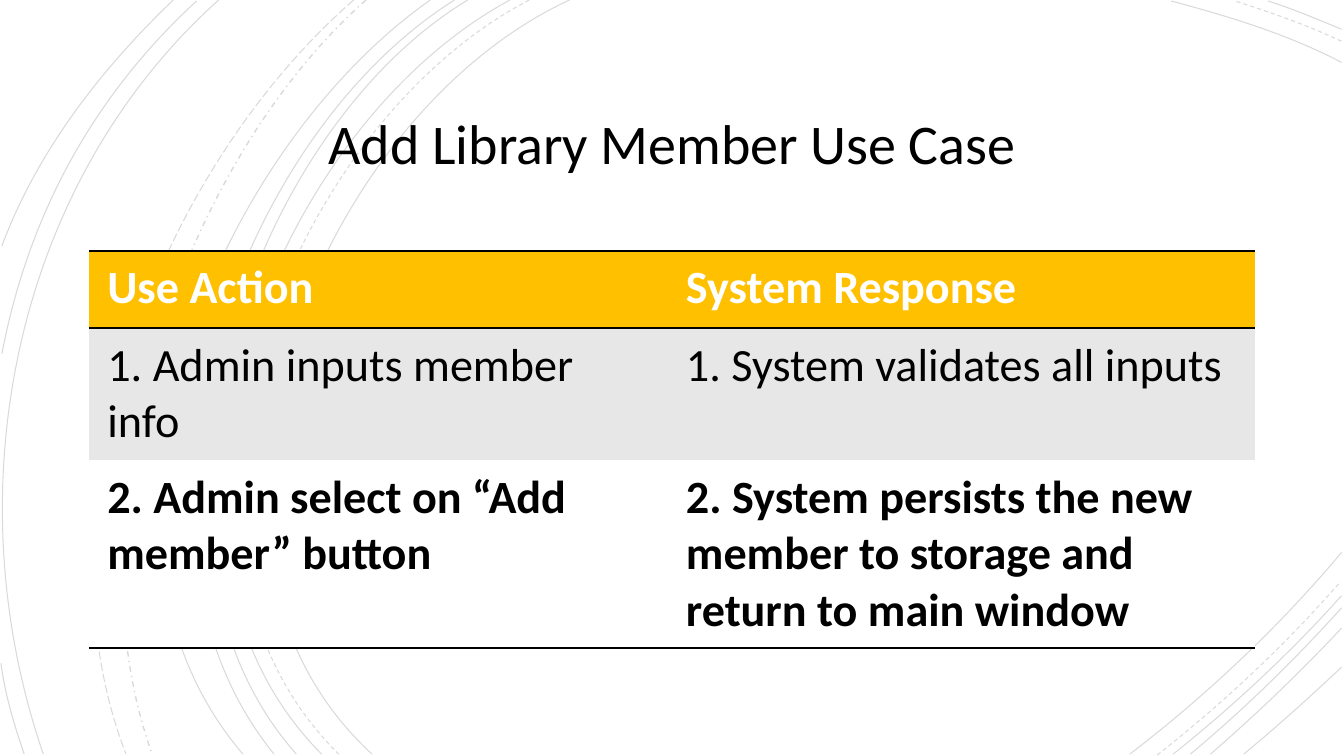
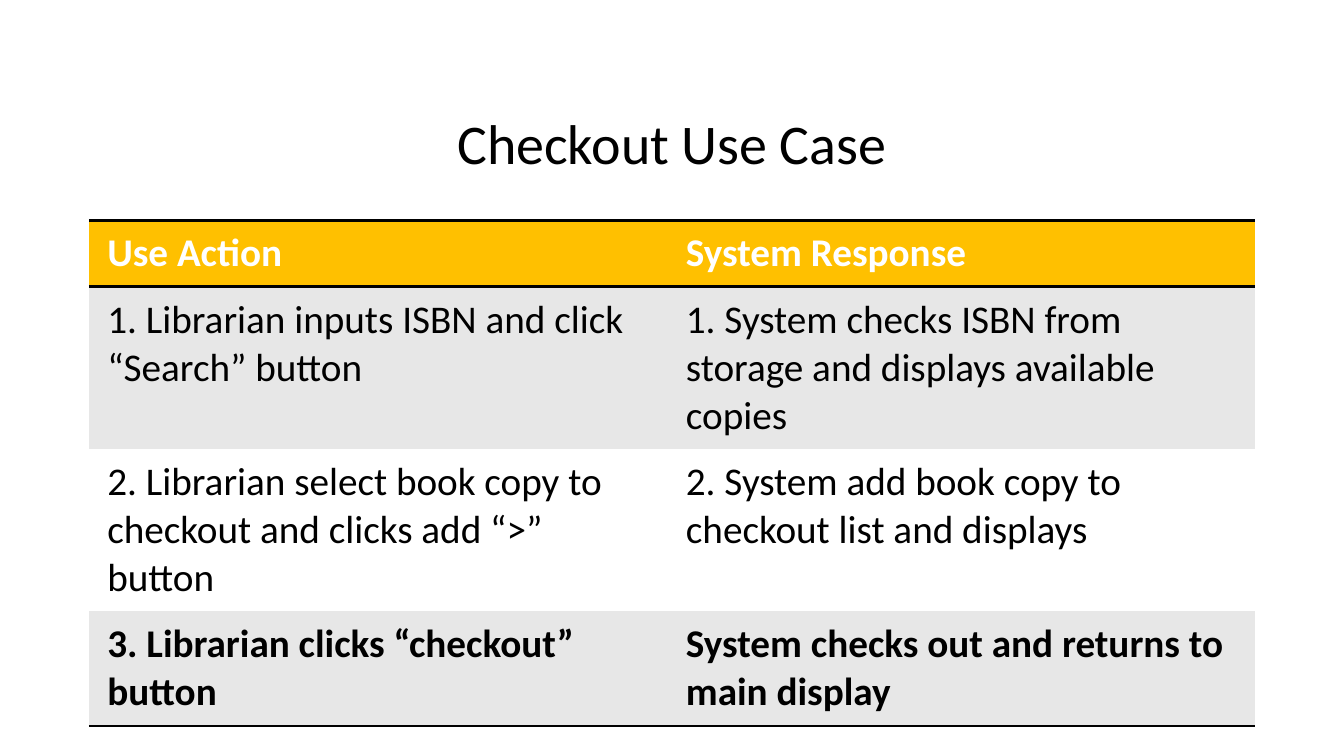
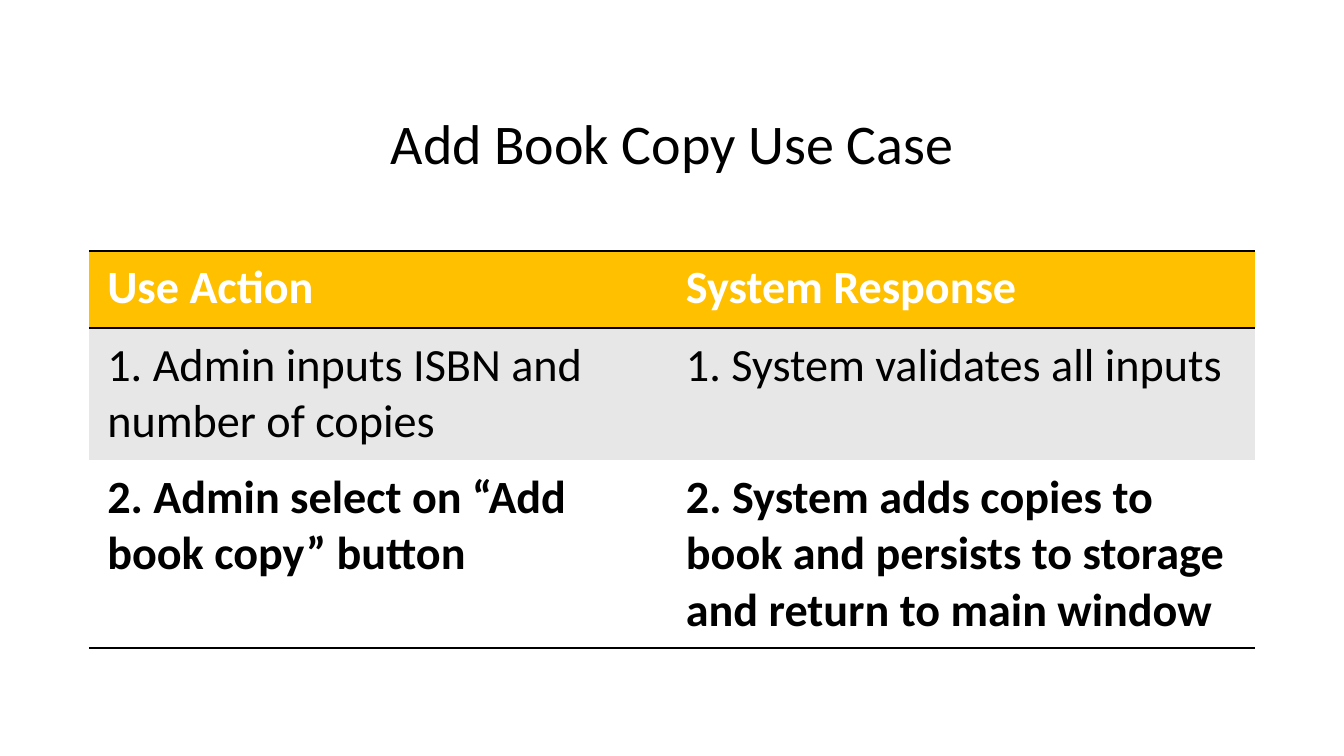
"""Builds three library use case slides, each with a title and a two-column table."""
from lxml import etree
from pptx import Presentation
from pptx.dml.color import RGBColor
from pptx.enum.dml import MSO_LINE
from pptx.enum.text import MSO_ANCHOR, PP_ALIGN
from pptx.oxml.ns import qn
from pptx.util import Pt

CENTER, MIDDLE = PP_ALIGN.CENTER, MSO_ANCHOR.MIDDLE
SOLID, DASH = MSO_LINE.SOLID, MSO_LINE.DASH
LONG_DASH, DASH_DOT = MSO_LINE.LONG_DASH, MSO_LINE.DASH_DOT
FONT = "Calibri"
COLORS = {"ink": "000000", "paper": "FFFFFF", "header": "FFC000", "band": "E7E7E7"}
COLUMN_WIDTHS = (413.3, 419.7)

ARCS = [
    (SOLID, 0.75, (406.8, 0), (226.8, 82.8), (103, 388.8), (265.7, 538.6)),
    (SOLID, 0.75, (958.3, 44.6), (920.2, 24.5), (877, 11.5), (836.6, 0.7)),
    (SOLID, 0.75, (807.1, 538.6), (861.8, 496.8), (913.7, 447.8), (958.3, 394.6)),
    (DASH, 0.75, (378, 0), (205.2, 90), (88.6, 386.6), (241.9, 538.6)),
    (DASH, 0.75, (958.3, 29.5), (933.8, 18), (907.2, 8.6), (882, 0.7)),
    (DASH, 0.75, (826.6, 539.3), (873.4, 502.6), (918, 460.8), (957.6, 415.4)),
    (SOLID, 0.75, (364.3, 0), (194.4, 91.4), (79.2, 386.6), (229.7, 538.6)),
    (SOLID, 0.75, (958.3, 20.9), (941, 13.7), (923.8, 6.5), (905.8, 0.7)),
    (SOLID, 0.75, (838.1, 538.6), (880.6, 504.7), (921.6, 466.6), (958.3, 425.5)),
    (SOLID, 0.75, (334.1, 0), (175.7, 95.8), (79.2, 389.5), (211.7, 538.6)),
    (SOLID, 0.75, (850.3, 538.6), (888.5, 506.9), (924.5, 471.6), (958.3, 434.2)),
    (SOLID, 0.75, (324.7, 0), (166.3, 99.4), (69.8, 383.8), (195.8, 538.6)),
    (SOLID, 0.75, (864.7, 538.6), (897.1, 510.5), (928.8, 480.2), (958.3, 448.6)),
    (SOLID, 0.75, (307.4, 0), (156.2, 105.8), (38.2, 380.9), (173.5, 538.6)),
    (SOLID, 0.75, (888.5, 538.6), (912.2, 519.1), (935.3, 498.2), (958.3, 476.6)),
    (DASH_DOT, 1, (261.4, 0), (126.7, 119.5), (46.8, 366.5), (108.7, 538.6)),
    (LONG_DASH, 0.75, (252.7, 0), (113, 121.7), (20.9, 359.3), (90, 538.6)),
    (SOLID, 0.75, (156.2, 0), (7.9, 133.2), (-33.1, 352.8), (31, 538.6)),
    (SOLID, 0.75, (140.4, 0.7), (66.2, 69.1), (20.2, 154.1), (1.4, 252.7)),
    (SOLID, 0.75, (0.7, 473.8), (3.6, 496.1), (10.1, 517.7), (17.3, 538.6)),
    (SOLID, 0.75, (123.8, 0), (72, 49.7), (26.6, 108), (1.4, 175.7)),
]

SLIDES = [
    {"title": "Add Library Member Use Case", "arcs": ARCS, "top": 179.1, "size": 33,
     "heights": (55.2, 94.3, 133.9),
     "steps": [
         ("1. Admin inputs member info", "1. System validates all inputs"),
         ("2. Admin select on “Add member” button",
          "2. System persists the new member to storage and return to main window"),
     ]},
    {"title": "Checkout Use Case", "arcs": [], "top": 157.4, "size": 28,
     "heights": (40.3, 101.5, 101.5, 82.1),
     "steps": [
         ("1. Librarian inputs ISBN and click “Search” button",
          "1. System checks ISBN from storage and displays available copies"),
         ("2. Librarian select book copy to checkout and clicks add “>” button",
          "2. System add book copy to checkout list and displays"),
         ("3. Librarian clicks “checkout” button",
          "System checks out and returns to main display"),
     ]},
    {"title": "Add Book Copy Use Case", "arcs": [], "top": 179.1, "size": 33,
     "heights": (55.2, 94.3, 133.9),
     "steps": [
         ("1. Admin inputs ISBN and number of copies", "1. System validates all inputs"),
         ("2. Admin select on “Add book copy” button",
          "2. System adds copies to book and persists to storage and return to main window"),
     ]},
]


def style_font(font, size, color, bold=False):
    font.name, font.size, font.bold = FONT, Pt(size), bold
    font.color.rgb = RGBColor.from_string(COLORS[color])


def set_border(cell, side, visible):
    properties = cell._tc.get_or_add_tcPr()
    border = etree.SubElement(properties, qn(f"a:ln{side}"), w=str(Pt(2)))
    if visible:
        fill = etree.SubElement(border, qn("a:solidFill"))
        etree.SubElement(fill, qn("a:srgbClr"), val=COLORS["ink"])
    else:
        etree.SubElement(border, qn("a:noFill"))


deck = Presentation()
deck.slide_width, deck.slide_height = Pt(960), Pt(540)

for content in SLIDES:
    page = deck.slides.add_slide(deck.slide_layouts[5])
    title = page.shapes.title
    title.left, title.top, title.width, title.height = Pt(138.3), Pt(62.9), Pt(683.3), Pt(83.1)
    title.text_frame.text = content["title"]
    title.text_frame.vertical_anchor = MIDDLE
    para = title.text_frame.paragraphs[0]
    para.alignment, para.line_spacing = CENTER, 0.9
    style_font(para.font, 40, "ink")

    if content["arcs"]:
        arc_group = page.shapes.add_group_shape()
        title.element.addprevious(arc_group.element)
        for dash, width, *controls in content["arcs"]:
            start, *bends = [(Pt(x), Pt(y)) for x, y in controls]
            builder = arc_group.shapes.build_freeform(*start)
            builder.add_line_segments(bends, close=False)
            arc = builder.convert_to_shape()
            segments = list(arc.element.iter(qn("a:lnTo")))
            curve = etree.SubElement(segments[0].getparent(), qn("a:cubicBezTo"))
            for segment in segments:
                curve.append(segment[0])
                segment.getparent().remove(segment)
            arc.shadow.inherit = False
            arc.fill.background()
            arc.line.width, arc.line.dash_style = Pt(width), dash
            arc.line.color.rgb = RGBColor.from_string(COLORS["ink"])
            ink = arc.element.find(".//" + qn("a:ln")).find(".//" + qn("a:srgbClr"))
            etree.SubElement(ink, qn("a:alpha"), val="15000")

    rows = [("Use Action", "System Response")] + content["steps"]
    last = len(rows) - 1
    table = page.shapes.add_table(len(rows), 2, Pt(63.5), Pt(content["top"]),
                                  Pt(sum(COLUMN_WIDTHS)), Pt(sum(content["heights"]))).table
    for column, width in zip(table.columns, COLUMN_WIDTHS):
        column.width = Pt(width)
    for index, (texts, height) in enumerate(zip(rows, content["heights"])):
        table.rows[index].height = Pt(height)
        fill_color = "header" if index == 0 else "band" if index % 2 else "paper"
        for cell, text in zip(table.rows[index].cells, texts):
            cell.text = text
            cell.margin_left = cell.margin_right = Pt(13.2)
            cell.margin_top = cell.margin_bottom = Pt(6.6)
            for side, visible in (("L", False), ("R", False),
                                  ("T", index <= 1), ("B", index in (0, last))):
                set_border(cell, side, visible)
            cell.fill.solid()
            cell.fill.fore_color.rgb = RGBColor.from_string(COLORS[fill_color])
            style_font(cell.text_frame.paragraphs[0].font, content["size"],
                       "ink" if index else "paper", bold=index in (0, last))

deck.save("out.pptx")
